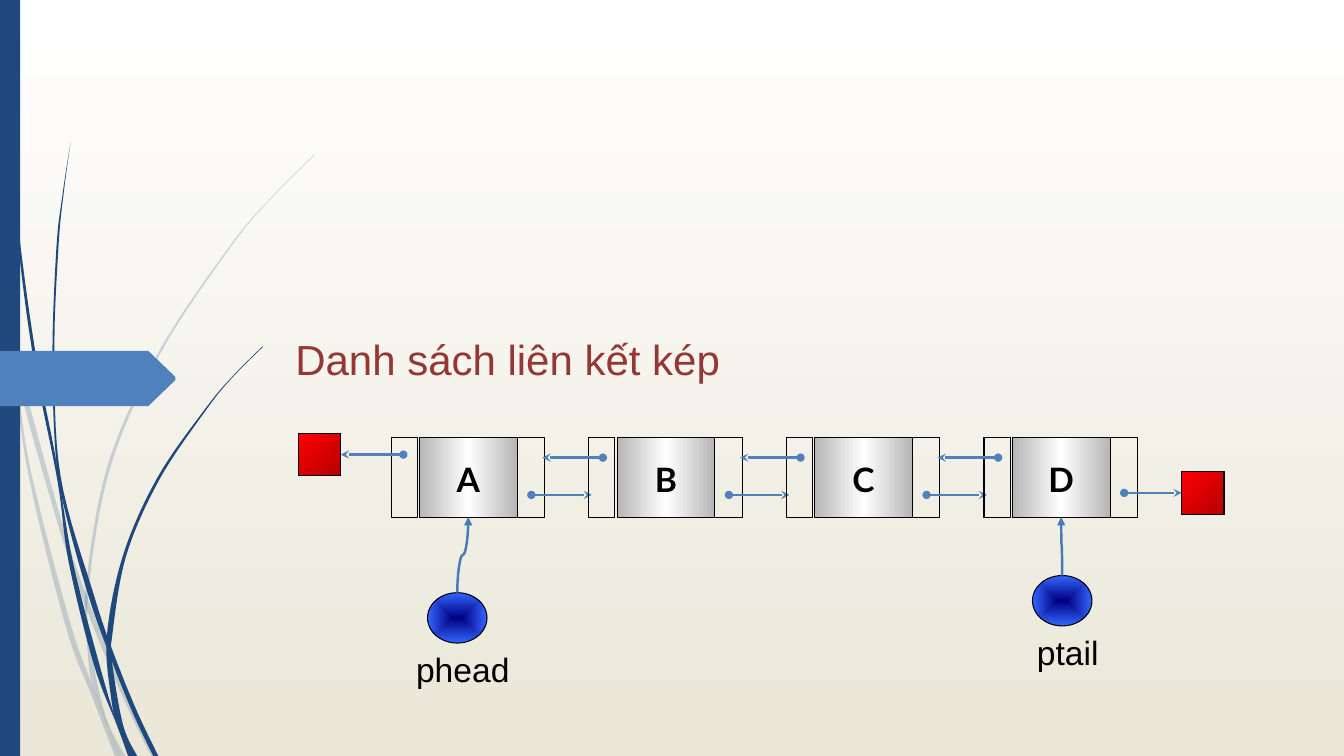
from collections import namedtuple
from dataclasses import dataclass

from lxml import etree
from pptx import Presentation
from pptx.dml.color import RGBColor
from pptx.enum.shapes import MSO_CONNECTOR, MSO_SHAPE
from pptx.enum.text import MSO_ANCHOR, MSO_AUTO_SIZE, PP_ALIGN
from pptx.oxml.ns import qn
from pptx.util import Inches, Pt

RECT, OVAL = MSO_SHAPE.RECTANGLE, MSO_SHAPE.OVAL
STRAIGHT, CURVE = MSO_CONNECTOR.STRAIGHT, MSO_CONNECTOR.CURVE
MIDDLE, BOTTOM = MSO_ANCHOR.MIDDLE, MSO_ANCHOR.BOTTOM
LEFT, CENTER = PP_ALIGN.LEFT, PP_ALIGN.CENTER
GROW = MSO_AUTO_SIZE.SHAPE_TO_FIT_TEXT
TOP_SITE, LEFT_SITE, BOTTOM_SITE, RIGHT_SITE = range(4)

Box = namedtuple("Box", "x y w h")


@dataclass(frozen=True)
class Theme:
    navy: str = "1F497D"
    blue: str = "4F81BD"
    pointer_line: str = "4B7BB5"
    title: str = "953735"
    ink: str = "000000"
    sky: tuple = ((0, "FFFFFF", None), (100, "EAE7D8", None))
    steel: tuple = ((0, "FFFFFF", 46275), (50, "FFFFFF", None), (100, "FFFFFF", 46275))
    red: tuple = ((0, "FF0000", None), (100, "FF0000", 46275))
    ball: tuple = ((0, "000080", None), (100, "3366FF", None))
    title_font: str = "Arial"
    node_font: str = "Lato"
    title_size: int = 30
    label_size: int = 24
    outline: float = 0.75
    arrow: float = 1.75


THEME = Theme()

PALE_STRANDS = [
    ([(0, 2.99), (0.11, 3.5), (0.28, 4.7), (0.65, 6.21), (0.92, 6.93), (1.14, 7.5)],
     [(0, 2.82), (0.09, 3.22), (0.17, 3.76), (0.31, 4.69), (0.7, 6.19), (0.93, 6.83), (1.19, 7.5)]),
    ([(0.14, 3.45), (0.17, 3.76), (0.58, 5.22), (0.88, 6.1), (1.23, 6.94), (1.5, 7.5)],
     [(0.14, 3.45), (0.62, 5.2), (0.92, 6.07), (1.27, 6.92), (1.55, 7.5)]),
    ([(3.12, 1.53), (2.68, 1.97), (2.28, 2.44), (1.58, 3.48), (1.07, 4.61), (0.85, 5.84),
      (0.87, 6.46), (0.93, 6.83), (1.19, 7.5)],
     [(3.12, 1.54), (2.68, 1.98), (2.29, 2.45), (1.6, 3.49), (1.1, 4.62), (0.88, 5.84),
      (0.91, 6.46), (1.05, 7.11), (1.24, 7.5)]),
]
NAVY_STRANDS = [
    ([(0.03, 0), (0.07, 1.1), (0.17, 2.33), (0.33, 3.55), (0.57, 4.77), (0.68, 5.57),
      (0.93, 6.59), (1.17, 7.22), (1.27, 7.5)],
     [(0.04, 0), (0.08, 1.09), (0.19, 2.32), (0.36, 3.55), (0.55, 4.53), (0.72, 5.56),
      (0.98, 6.57), (1.16, 7.17), (1.31, 7.5)]),
    ([(0.7, 1.41), (0.62, 1.93), (0.56, 2.45), (0.52, 3.49), (0.55, 4.49), (0.64, 5.05),
      (0.88, 5.92), (1.11, 6.56), (1.32, 7.08), (1.52, 7.5)],
     [(0.7, 1.41), (0.63, 1.93), (0.58, 2.45), (0.54, 3.49), (0.6, 4.72), (0.93, 5.9),
      (1.13, 6.49), (1.36, 7.06), (1.57, 7.5)]),
    ([(2.6, 3.44), (2.31, 3.73), (2.04, 4.05), (1.56, 4.74), (1.22, 5.51), (1.06, 6.31),
      (1.1, 6.91), (1.17, 7.22), (1.3, 7.5)],
     [(2.61, 3.44), (2.31, 3.74), (2.05, 4.06), (1.58, 4.76), (1.25, 5.52), (1.11, 6.33),
      (1.11, 6.56), (1.22, 7.19), (1.36, 7.5)]),
]


def paint_gradient(fill, props, stops, angle=None):
    fill.gradient()
    gradient = props.find(qn("a:gradFill"))
    for child in list(gradient):
        gradient.remove(child)
    stop_list = etree.SubElement(gradient, qn("a:gsLst"))
    for position, color, shade in stops:
        stop = etree.SubElement(stop_list, qn("a:gs"), pos=str(position * 1000))
        tone = etree.SubElement(stop, qn("a:srgbClr"), val=color)
        if shade:
            etree.SubElement(tone, qn("a:shade"), val=str(shade))
    if angle is None:
        radial = etree.SubElement(gradient, qn("a:path"), {"path": "shape"})
        etree.SubElement(radial, qn("a:fillToRect"), dict.fromkeys("ltrb", "50000"))
    else:
        etree.SubElement(gradient, qn("a:lin"), ang=str(angle * 60000), scaled="0")


def paint_flat(shape, color, alpha=None):
    shape.shadow.inherit = False
    shape.fill.solid()
    shape.fill.fore_color.rgb = RGBColor.from_string(color)
    shape.line.fill.background()
    if alpha:
        tone = shape._element.spPr.find(qn("a:solidFill"))[0]
        etree.SubElement(tone, qn("a:alpha"), val=str(alpha * 1000))


def add_outlined(shapes, kind, box, stops=None, angle=None):
    shape = shapes.add_shape(kind, *map(Inches, box))
    shape.shadow.inherit = False
    shape.line.color.rgb = RGBColor.from_string(THEME.ink)
    shape.line.width = Pt(THEME.outline)
    if stops:
        paint_gradient(shape.fill, shape._element.spPr, stops, angle)
    else:
        shape.fill.background()
    return shape


def write(shape, words, align, color=THEME.ink, **font_format):
    paragraph = shape.text_frame.paragraphs[0]
    paragraph.alignment = align
    run = paragraph.add_run()
    run.text = words
    run.font.color.rgb = RGBColor.from_string(color)
    for attribute, value in font_format.items():
        setattr(run.font, attribute, value)


def add_arrow(shapes, kind, start, end, color, tail, head=None):
    arrow = shapes.add_connector(kind, *map(Inches, start + end))
    arrow.line.color.rgb = RGBColor.from_string(color)
    arrow.line.width = Pt(THEME.arrow)
    line = arrow.line._get_or_add_ln()
    if head:
        etree.SubElement(line, qn("a:headEnd"), type=head)
    etree.SubElement(line, qn("a:tailEnd"), type=tail)
    etree.SubElement(arrow._element.spPr, qn("a:effectLst"))
    return arrow


def add_link(shapes, x, y, run):
    return add_arrow(shapes, STRAIGHT, (x, y), (x + run, y), THEME.blue, "stealth", "oval")


def smooth_edge(points, steps=8):
    padded = [points[0]] + points + [points[-1]]
    for a, b, c, d in zip(padded, padded[1:], padded[2:], padded[3:]):
        for step in range(steps):
            t = step / steps
            yield tuple(
                (2 * q + (r - p) * t + (2 * p - 5 * q + 4 * r - s) * t ** 2
                 + (3 * q - p - 3 * r + s) * t ** 3) / 2
                for p, q, r, s in zip(a, b, c, d))
    yield points[-1]


def add_outline(shapes, box, points, color, alpha=None):
    corners = [(Inches(box.x + x), Inches(box.y + y)) for x, y in points]
    builder = shapes.build_freeform(*corners[0])
    builder.add_line_segments(corners[1:], close=True)
    paint_flat(builder.convert_to_shape(), color, alpha)


def draw_decoration(slide, box):
    for strands, alpha in ((PALE_STRANDS, 20), (NAVY_STRANDS, None)):
        grass = slide.shapes.add_group_shape().shapes
        for near, far in strands:
            outline = list(smooth_edge(near)) + list(smooth_edge(far))[::-1]
            add_outline(grass, box, outline, THEME.navy, alpha)
    band = slide.shapes.add_shape(RECT, *map(Inches, (box.x, box.y, 0.2, box.h)))
    paint_flat(band, THEME.navy)
    tab = [(0, 3.48), (1.47, 3.48), (1.74, 3.74), (1.74, 3.77), (1.47, 4.03), (0, 4.03)]
    add_outline(slide.shapes, box, tab, THEME.blue)


def draw_title(slide, box):
    heading = slide.shapes.add_textbox(*map(Inches, box))
    heading.text_frame.word_wrap = True
    heading.text_frame.vertical_anchor = BOTTOM
    write(heading, "Danh sách liên kết kép", LEFT, THEME.title,
          name=THEME.title_font, size=Pt(THEME.title_size))


def draw_node(shapes, box, letter):
    add_outlined(shapes, RECT, Box(box.x + 1.25, box.y, 0.27, box.h))
    data = add_outlined(shapes, RECT, Box(box.x + 0.28, box.y, 0.97, box.h), THEME.steel, 0)
    frame = data.text_frame
    for side, inset in dict(left=0, top=0.03, right=0, bottom=0).items():
        setattr(frame, f"margin_{side}", Inches(inset))
    frame.vertical_anchor = MIDDLE
    write(data, letter, CENTER, name=THEME.node_font, size=Pt(THEME.label_size), bold=True)
    next_link = add_link(shapes, box.x + 1.39, box.y + 0.57, 0.6)
    add_outlined(shapes, RECT, Box(box.x, box.y, 0.26, box.h))
    previous_link = add_link(shapes, box.x + 0.14, box.y + 0.2, -0.6)
    return data, previous_link, next_link


def draw_pointer(shapes, box, name, node):
    group = shapes.add_group_shape().shapes
    ball = add_outlined(group, OVAL, Box(box.x + 0.25, box.y, 0.59, 0.5), THEME.ball)
    label = group.add_textbox(*map(Inches, (box.x, box.y + 0.51, box.w, box.h - 0.51)))
    label.text_frame.word_wrap = True
    label.text_frame.auto_size = GROW
    write(label, name, CENTER, name=THEME.title_font, size=Pt(THEME.label_size))
    arrow = add_arrow(shapes, CURVE, (box.x, box.y), (box.x, box.y), THEME.pointer_line, "triangle")
    arrow.begin_connect(ball, TOP_SITE)
    arrow.end_connect(node, BOTTOM_SITE)
    start_x, end_x = ball.left + ball.width // 2, node.left + node.width // 2
    start_y, end_y = ball.top, node.top + node.height
    span, drift = start_y - end_y, abs(end_x - start_x)
    arrow.left, arrow.top = (start_x + end_x - span) // 2, (start_y + end_y - drift) // 2
    arrow.width, arrow.height = span, drift
    turn = arrow._element.spPr.xfrm
    turn.rot, turn.flipH, turn.flipV = 90, True, start_x < end_x


def draw_linked_list(slide, box):
    shapes = slide.shapes
    last_null = add_outlined(shapes, RECT, Box(box.x + 8.76, box.y + 0.38, 0.42, 0.42), THEME.red, 45)
    nodes = [draw_node(shapes, Box(box.x + 0.92 + 1.96 * i, box.y + 0.04, 1.52, 0.79), letter)
             for i, letter in enumerate("ABCD")]
    first_null = add_outlined(shapes, RECT, Box(box.x, box.y, 0.42, 0.42), THEME.red, 45)
    head, to_first_null, _ = nodes[0]
    tail, _, to_last_null = nodes[-1]
    to_first_null.begin_x, to_first_null.begin_y = Inches(box.x + 1.04), Inches(box.y + 0.21)
    to_first_null.end_connect(first_null, RIGHT_SITE)
    to_last_null.begin_y = Inches(box.y + 0.59)
    to_last_null.end_connect(last_null, LEFT_SITE)
    draw_pointer(shapes, Box(box.x + 1.03, box.y + 1.58, 1.2, 1.01), "phead", head)
    draw_pointer(shapes, Box(box.x + 7.03, box.y + 1.41, 1.2, 1.01), "ptail", tail)


def main():
    deck = Presentation()
    deck.slide_width, deck.slide_height = Inches(13.33), Inches(7.5)
    slide = deck.slides.add_slide(deck.slide_layouts[6])
    sky = slide.background.fill
    paint_gradient(sky, slide._element.cSld.bg.bgPr, THEME.sky, 90)
    draw_decoration(slide, Box(0, 0, 3.12, 7.5))
    draw_title(slide, Box(2.83, 2.25, 9.75, 1.61))
    draw_linked_list(slide, Box(2.96, 4.3, 9.18, 2.59))
    deck.save("out.pptx")


if __name__ == "__main__":
    main()
